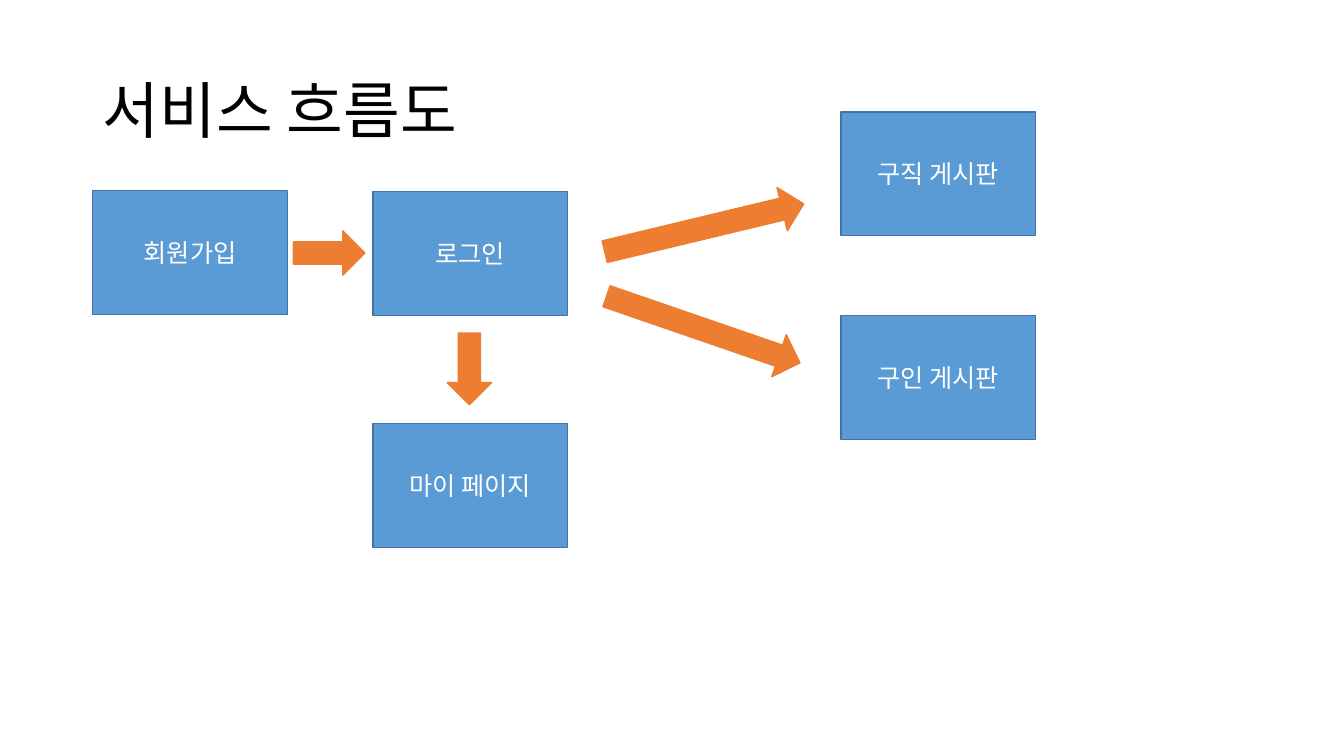
from dataclasses import dataclass

from lxml import etree
from pptx import Presentation
from pptx.dml.color import RGBColor
from pptx.enum.shapes import MSO_SHAPE
from pptx.enum.text import MSO_ANCHOR, MSO_AUTO_SIZE, PP_ALIGN
from pptx.oxml.ns import qn
from pptx.util import Inches, Pt

RECT = MSO_SHAPE.RECTANGLE
ARROW = MSO_SHAPE.RIGHT_ARROW
MIDDLE = MSO_ANCHOR.MIDDLE
FIXED = MSO_AUTO_SIZE.NONE
LEFT = PP_ALIGN.LEFT
CENTER = PP_ALIGN.CENTER


@dataclass(frozen=True)
class Theme:
    """Colours, font and type sizes of the slide."""
    font: str = "Noto Sans CJK KR"
    ink: str = "000000"
    light: str = "FFFFFF"
    box: str = "5B9BD5"
    edge: str = "43739E"
    arrow: str = "ED7D31"
    head: int = 44
    body: int = 18
    line: int = 1


THEME = Theme()
BOX_SIZE = (1.93, 1.23)
BOXES = [
    ("회원가입", 0.92, 1.89),
    ("로그인", 3.7, 1.9),
    ("마이 페이지", 3.7, 4.2),
    ("구직 게시판", 8.34, 1.11),
    ("구인 게시판", 8.34, 3.13),
]
THICK = 0.44
ARROWS = [
    (2.91, 2.29, 0.71, 0),
    (4.3, 3.44, 0.71, 90),
    (5.97, 2.04, 2.03, 346.5),
    (5.96, 3.05, 2.03, 19),
]


def write(shape, text, size, color, align):
    """Put one styled line of text in a shape."""
    frame = shape.text_frame
    form = {"word_wrap": True, "auto_size": FIXED, "vertical_anchor": MIDDLE}
    for key, value in form.items():
        setattr(frame, key, value)
    para = frame.paragraphs[0]
    para.alignment = align
    run = para.add_run()
    run.text = text
    font = run.font
    for key, value in {"name": THEME.font, "size": Pt(size)}.items():
        setattr(font, key, value)
    font.color.rgb = RGBColor.from_string(color)
    east = etree.SubElement(font._element, qn("a:ea"))
    east.set("typeface", THEME.font)


def add_head(slide, text):
    """Place and fill the slide title."""
    title = slide.shapes.title
    area = {"left": 0.92, "top": 0.4, "width": 11.5, "height": 1.45}
    for key, value in area.items():
        setattr(title, key, Inches(value))
    write(title, text, THEME.head, THEME.ink, LEFT)
    title.text_frame.paragraphs[0].line_spacing = 0.9


def add_form(slide, kind, area, fill, line):
    """Add a flat preset shape with a fill and an outline."""
    shape = slide.shapes.add_shape(kind, *map(Inches, area))
    shape.shadow.inherit = False
    shape.fill.solid()
    shape.fill.fore_color.rgb = RGBColor.from_string(fill)
    shape.line.color.rgb = RGBColor.from_string(line)
    shape.line.width = Pt(THEME.line)
    return shape


def add_box(slide, text, left, top):
    """Add one labelled step of the flow."""
    box = add_form(slide, RECT, (left, top, *BOX_SIZE), THEME.box, THEME.edge)
    write(box, text, THEME.body, THEME.light, CENTER)


def add_arrow(slide, left, top, width, turn):
    """Add one block arrow turned by an angle."""
    area = (left, top, width, THICK)
    arrow = add_form(slide, ARROW, area, THEME.arrow, THEME.arrow)
    arrow.rotation = turn


def main():
    """Build the service flow slide."""
    deck = Presentation()
    deck.slide_width = Inches(13.33)
    deck.slide_height = Inches(7.5)
    slide = deck.slides.add_slide(deck.slide_layouts.get_by_name("Title Only"))
    add_head(slide, "서비스 흐름도")
    for box in BOXES:
        add_box(slide, *box)
    for arrow in ARROWS:
        add_arrow(slide, *arrow)
    deck.save("out.pptx")


if __name__ == "__main__":
    main()
